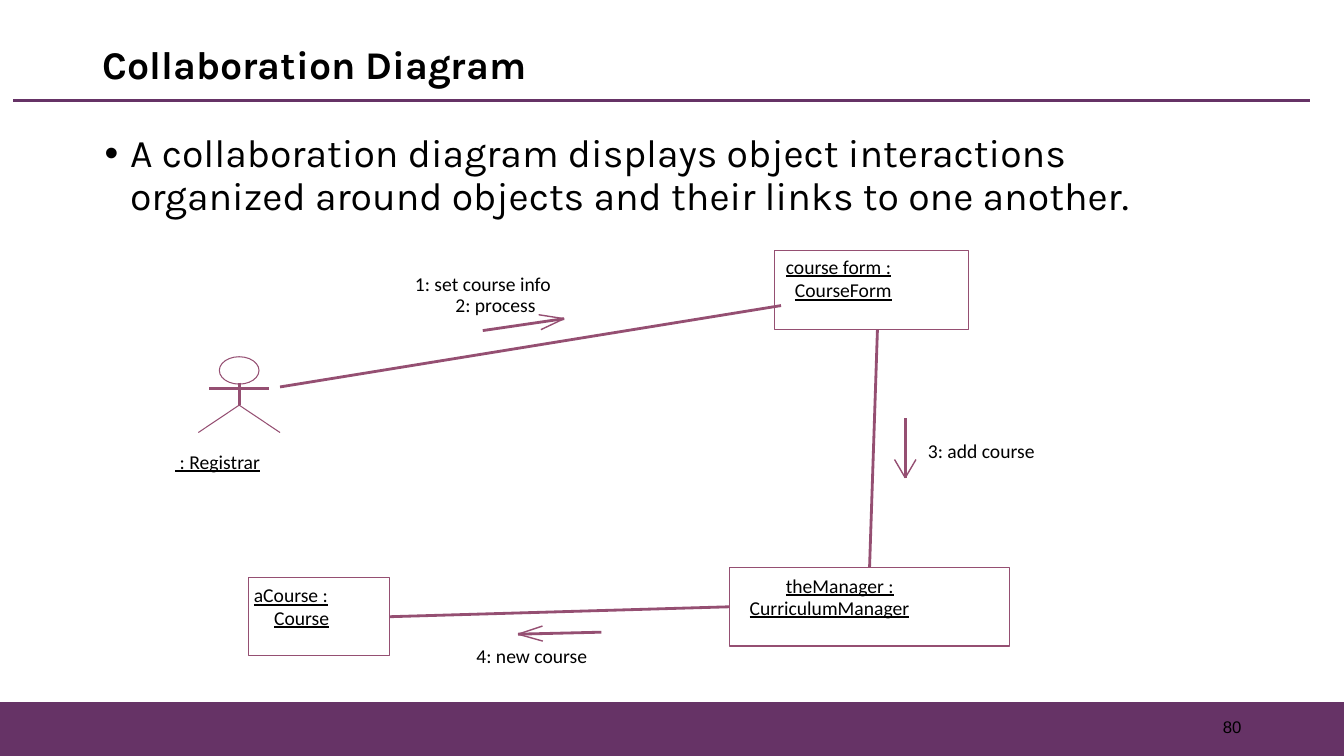
import math

import pptx
import pptx.dml.color
import pptx.enum.shapes
import pptx.enum.text
import pptx.oxml.ns
import pptx.util
from lxml import etree

Cm = pptx.util.Cm
Pt = pptx.util.Pt
SHAPES = pptx.enum.shapes.MSO_SHAPE
ALIGN = pptx.enum.text.PP_ALIGN
ANCHOR = pptx.enum.text.MSO_ANCHOR
FIT = pptx.enum.text.MSO_AUTO_SIZE

PURPLE = "663366"
PLUM = "954F72"
BLACK = "000000"


def color(value):
    return pptx.dml.color.RGBColor.from_string(value)


def add_text(slide, box, text, size=14, font="Calibri", bold=False, underline=False,
             align=ALIGN.LEFT, anchor=ANCHOR.TOP, insets=(0.25, 0.13), wrap=True,
             spacing=None, bullet=None):
    shape = slide.shapes.add_textbox(*map(Cm, box))
    frame = shape.text_frame
    frame.word_wrap = wrap
    frame.auto_size = FIT.NONE if wrap else FIT.SHAPE_TO_FIT_TEXT
    frame.vertical_anchor = anchor
    frame.margin_left = frame.margin_right = Cm(insets[0])
    frame.margin_top = frame.margin_bottom = Cm(insets[1])
    para = frame.paragraphs[0]
    para.alignment = align
    if spacing:
        para.line_spacing = spacing
    if bullet:
        properties = para._p.get_or_add_pPr()
        properties.set("marL", str(Cm(0.64)))
        properties.set("indent", str(-Cm(0.64)))
        font_tag = etree.SubElement(properties, pptx.oxml.ns.qn("a:buFont"))
        font_tag.set("typeface", "Arial")
        mark = etree.SubElement(properties, pptx.oxml.ns.qn("a:buChar"))
        mark.set("char", bullet)
    span = para.add_run()
    span.text = text
    span.font.size = Pt(size)
    span.font.name = font
    span.font.bold = bold
    span.font.underline = underline
    span.font.color.rgb = color(BLACK)
    return shape


def add_label(slide, left, top, width, text, underline=False):
    add_text(slide, (left, top, width, 0.58), text, underline=underline,
             insets=(0, 0), wrap=False)


def add_line(slide, start, end, line=PLUM, weight=0):
    connector = slide.shapes.add_connector(
        pptx.enum.shapes.MSO_CONNECTOR.STRAIGHT, *map(Cm, (*start, *end)))
    connector.line.color.rgb = color(line)
    connector.line.width = Pt(weight)
    etree.SubElement(connector._element.spPr, pptx.oxml.ns.qn("a:effectLst"))
    return connector


def style_shape(shape, fill=None, line=PLUM, weight=0):
    shape.shadow.inherit = False
    if fill:
        shape.fill.solid()
        shape.fill.fore_color.rgb = color(fill)
    else:
        shape.fill.background()
    shape.line.color.rgb = color(line)
    shape.line.width = Pt(weight)
    return shape


def add_heading(slide, box, text):
    left, top, width, height = box
    add_line(slide, (left, top + height), (left + width, top + height), PURPLE, 2.25)
    add_text(slide, (left + 2.01, top, width - 3.48, height + 0.07), text,
             size=28, font="Karla", bold=True, anchor=ANCHOR.MIDDLE, spacing=0.9)


def add_body(slide, box, text):
    add_text(slide, box, text, size=28, font="Karla", insets=(0.3, 0.15),
             spacing=0.9, bullet="•")


def add_footer(slide, box, number):
    left, top, width, height = box
    band = slide.shapes.add_shape(SHAPES.RECTANGLE, *map(Cm, box))
    style_shape(band, PURPLE, PURPLE, 1)
    add_text(slide, (left + width - 9.95, top + 0.11, 7.62, 1.02), number, size=12,
             font="Arial", align=ALIGN.RIGHT, anchor=ANCHOR.MIDDLE)


def add_actor(slide, box, name):
    left, top, width, height = box
    middle, hip, foot = left + width / 2, top + 1.22, top + height
    head = slide.shapes.add_shape(
        SHAPES.OVAL, Cm(middle - 0.5), Cm(top), Cm(1), Cm(0.69))
    style_shape(head)
    add_line(slide, (middle, top + 0.65), (middle, hip))
    add_line(slide, (middle - 0.76, top + 0.79), (middle + 0.74, top + 0.79))
    builder = slide.shapes.build_freeform(Cm(left), Cm(foot), scale=1.0)
    builder.add_line_segments(
        [(Cm(middle), Cm(hip)), (Cm(left + width), Cm(foot))], close=False)
    style_shape(builder.convert_to_shape())
    add_label(slide, left - 0.58, top + 2.34, 2.16, name, underline=True)


def add_object(slide, box, lines):
    left, top = box[:2]
    shape = style_shape(slide.shapes.add_shape(SHAPES.RECTANGLE, *map(Cm, box)))
    for across, down, width, text in lines:
        add_label(slide, left + across, top + down, width, text, underline=True)
    return shape


def add_message_arrow(slide, tail, tip, depth=0.62, spread=0.19):
    add_line(slide, tail, tip)
    length = math.dist(tail, tip)
    back_x, back_y = (tail[0] - tip[0]) / length, (tail[1] - tip[1]) / length
    for side in (spread, -spread):
        barb = (tip[0] + depth * back_x - side * back_y,
                tip[1] + depth * back_y + side * back_x)
        add_line(slide, tip, barb, weight=1)


def add_diagram(slide, box):
    left, top = box[:2]

    def at(across, down):
        return left + across, top + down

    add_actor(slide, (*at(0.58, 2.67), 2.06, 1.91), " : Registrar")
    add_object(slide, (*at(15.11, 0), 4.88, 1.98),
               [(0.28, 0.1, 2.79, "course form :"), (0.51, 0.69, 2.46, "CourseForm")])
    manager = add_object(
        slide, (*at(13.97, 7.98), 7.06, 1.98),
        [(1.42, 0.15, 2.84, "theManager :"), (0.51, 0.71, 4.04, "CurriculumManager")])
    course = add_object(
        slide, (*at(1.85, 8.23), 3.56, 1.98),
        [(0.13, 0.15, 2.01, "aCourse :"), (0.64, 0.71, 1.4, "Course")])

    add_line(slide, at(2.64, 3.43), at(15.27, 1.38))
    form_link = add_line(slide, at(17.7, 1.98), at(17.5, 7.98))
    form_link.end_connect(manager, 0)
    course_link = add_line(slide, at(13.97, 8.97), at(5.41, 9.22))
    course_link.begin_connect(manager, 1)
    course_link.end_connect(course, 3)

    add_message_arrow(slide, at(7.75, 2.01), at(9.8, 1.71))
    add_message_arrow(slide, at(18.4, 4.22), at(18.4, 5.72), depth=0.46, spread=0.27)
    add_message_arrow(slide, at(10.74, 9.61), at(8.64, 9.66))
    for across, down, width, text in [
        (6.04, 0.54, 3.45, "1: set course info"),
        (7.06, 1.07, 2.03, "2: process"),
        (18.97, 4.75, 2.72, "3: add course"),
        (7.59, 9.91, 2.82, "4: new course"),
    ]:
        add_label(slide, *at(across, down), width, text)


def main():
    deck = pptx.Presentation()
    deck.slide_width, deck.slide_height = Cm(33.88), Cm(19.05)
    page = deck.slides.add_slide(deck.slide_layouts[6])
    add_footer(page, (0, 17.7, 33.88, 1.35), "80")
    add_heading(page, (0.33, 0.76, 32.69, 1.78), "Collaboration Diagram")
    add_body(page, (2.34, 3.23, 29.21, 2.8),
             "A collaboration diagram displays object interactions organized "
             "around objects and their links to one another.")
    add_diagram(page, (4.42, 6.32, 21.69, 10.49))
    deck.save("out.pptx")


if __name__ == "__main__":
    main()
